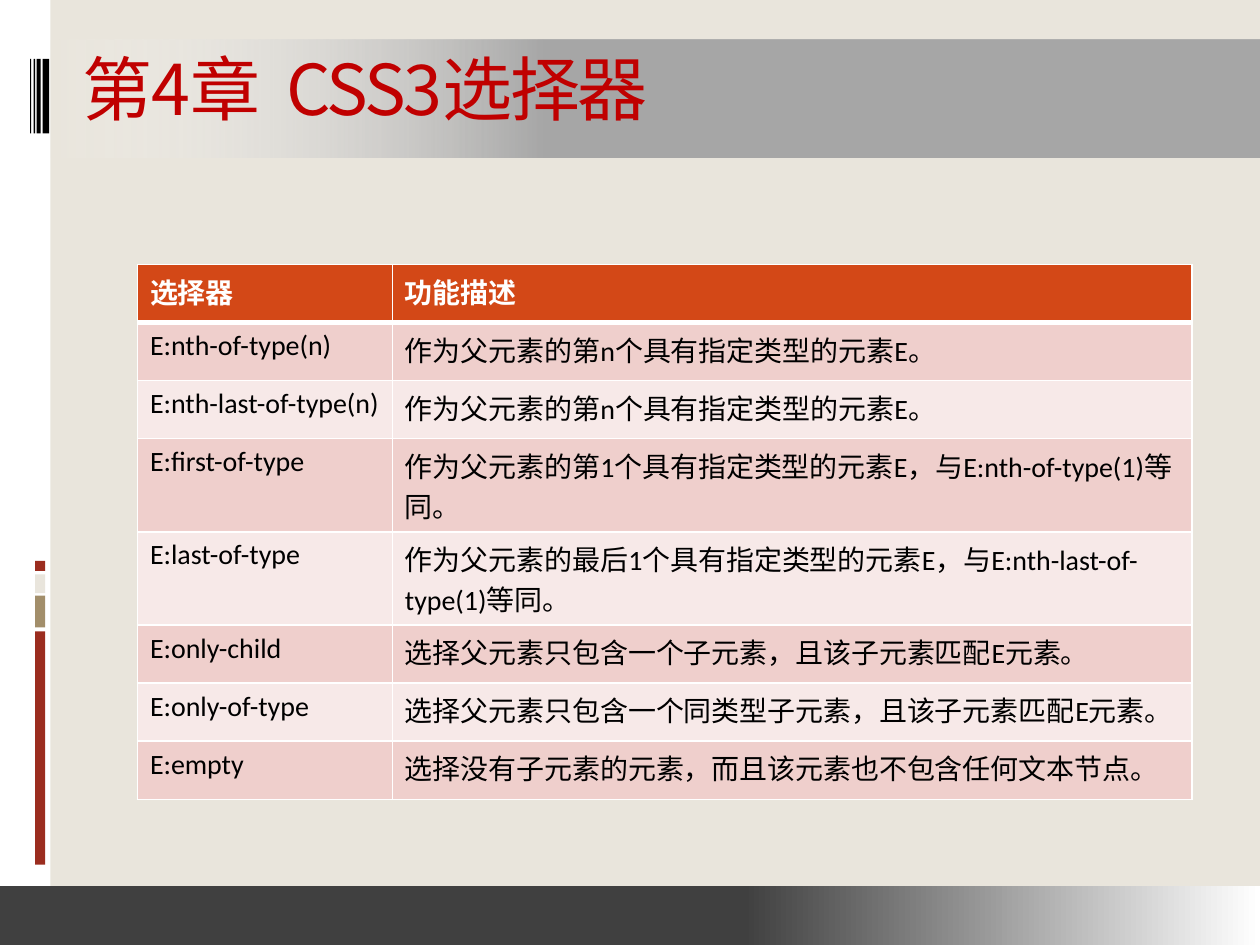
from dataclasses import dataclass

from lxml import etree
from pptx import Presentation
from pptx.dml.color import RGBColor
from pptx.enum.shapes import MSO_SHAPE
from pptx.enum.text import MSO_ANCHOR, MSO_AUTO_SIZE, PP_ALIGN
from pptx.oxml.ns import qn
from pptx.util import Cm, Pt

RECTANGLE = MSO_SHAPE.RECTANGLE
MIDDLE = MSO_ANCHOR.MIDDLE
LEFT = PP_ALIGN.LEFT
NO_AUTOFIT = MSO_AUTO_SIZE.NONE


@dataclass(frozen=True)
class Theme:
    paper: str = "E9E5DC"
    white: str = "FFFFFF"
    black: str = "000000"
    brick: str = "9B2D1F"
    tan: str = "A28E6A"
    banner: str = "A6A6A6"
    footer: str = "404040"
    title: str = "C00000"
    header: str = "D34817"
    bands: tuple = ("EFCFCC", "F7E9E8")
    cjk_font: str = "Noto Sans CJK SC"
    header_font: str = "Cabin"
    body_font: str = "Calibri"
    title_size: int = 40
    table_size: int = 16


theme = Theme()


def add_block(left, top, width, height, color, fade_to=None):
    """Add a borderless rectangle, plain or fading from 59% of its width."""
    block = slide.shapes.add_shape(RECTANGLE, Cm(left), Cm(top), Cm(width), Cm(height))
    block.shadow.inherit = False
    block.line.fill.background()
    if fade_to is None:
        block.fill.solid()
        block.fill.fore_color.rgb = RGBColor.from_string(color)
        return block
    block.fill.gradient()
    block.fill.gradient_angle = 0
    for stop, position, stop_color in zip(block.fill.gradient_stops, (0.59, 1), (color, fade_to)):
        stop.position = position
        stop.color.rgb = RGBColor.from_string(stop_color)
    return block


def style_run(run, font_name, size, color, bold=False):
    run.font.name = font_name
    run.font.size = Pt(size)
    run.font.bold = bold
    run.font.color.rgb = RGBColor.from_string(color)
    east_asian = etree.SubElement(run.font._element, qn("a:ea"))
    east_asian.set("typeface", theme.cjk_font)


prs = Presentation()
prs.slide_width, prs.slide_height = Cm(25.4), Cm(19.05)
slide = prs.slides.add_slide(prs.slide_layouts[5])
slide.background.fill.solid()
slide.background.fill.fore_color.rgb = RGBColor.from_string(theme.paper)

# Left margin with its coloured bars
add_block(0, 0, 1.02, 19.05, theme.white)
for top, height, color in (
    (12.73, 4.7, theme.brick),
    (12.01, 0.64, theme.tan),
    (11.58, 0.38, theme.paper),
    (11.31, 0.2, theme.brick),
):
    add_block(0.71, top, 0.2, height, color)

# Barcode beside the title
for left, width in ((0.86, 0.13), (0.74, 0.08), (0.68, 0.03), (0.61, 0.02)):
    add_block(left, 1.19, width, 1.5, theme.black)

# Title banner, fading out to the left, and footer band
banner = add_block(0.99, 0.79, 24.41, 2.39, theme.banner, theme.white)
banner.rotation = 180
clear_color = banner.fill._xPr.findall(".//" + qn("a:srgbClr"))[-1]
etree.SubElement(clear_color, qn("a:alpha")).set("val", "0")
add_block(0, 17.86, 25.4, 1.19, theme.footer, theme.white)

# Title, brought in front of the banner
title = slide.shapes.title
title.element.getparent().append(title.element)
title.left, title.top, title.width, title.height = Cm(1.4), Cm(0.79), Cm(21.59), Cm(1.96)
title.text_frame.text = "第4章  CSS3选择器"
title.text_frame.auto_size = NO_AUTOFIT
title.text_frame.vertical_anchor = MIDDLE
heading = title.text_frame.paragraphs[0]
heading.alignment = LEFT
style_run(heading.runs[0], theme.cjk_font, theme.title_size, theme.title)
heading.runs[0].font._element.set("spc", "-150")

# Selector table
selectors = (
    ("选择器", "功能描述"),
    ("E:nth-of-type(n)", "作为父元素的第n个具有指定类型的元素E。"),
    ("E:nth-last-of-type(n)", "作为父元素的第n个具有指定类型的元素E。"),
    ("E:first-of-type", "作为父元素的第1个具有指定类型的元素E，与E:nth-of-type(1)等同。"),
    ("E:last-of-type", "作为父元素的最后1个具有指定类型的元素E，与E:nth-last-of-type(1)等同。"),
    ("E:only-child", "选择父元素只包含一个子元素，且该子元素匹配E元素。"),
    ("E:only-of-type", "选择父元素只包含一个同类型子元素，且该子元素匹配E元素。"),
    ("E:empty", "选择没有子元素的元素，而且该元素也不包含任何文本节点。"),
)
row_height = 1.17
table = slide.shapes.add_table(
    len(selectors), 2, Cm(2.77), Cm(5.33), Cm(21.26), Cm(row_height * len(selectors))
).table
for column, width in zip(table.columns, (5.14, 16.12)):
    column.width = Cm(width)

for row_index, texts in enumerate(selectors):
    table.rows[row_index].height = Cm(row_height)
    is_header = row_index == 0
    band = theme.header if is_header else theme.bands[(row_index - 1) % 2]
    for column_index, text in enumerate(texts):
        cell = table.cell(row_index, column_index)
        cell.fill.solid()
        cell.fill.fore_color.rgb = RGBColor.from_string(band)
        cell.text_frame.text = text
        style_run(
            cell.text_frame.paragraphs[0].runs[0],
            theme.header_font if is_header else theme.body_font,
            theme.table_size,
            theme.white if is_header else theme.black,
            bold=is_header,
        )
        # White cell borders, heavier between header and body
        cell_properties = cell._tc.get_or_add_tcPr()
        for order, side in enumerate(("lnL", "lnR", "lnT", "lnB")):
            heavy = (row_index, side) in ((0, "lnB"), (1, "lnT"))
            border = etree.Element(qn("a:" + side), w=str(Pt(3 if heavy else 1)))
            border_fill = etree.SubElement(border, qn("a:solidFill"))
            etree.SubElement(border_fill, qn("a:srgbClr")).set("val", theme.white)
            cell_properties.insert(order, border)

prs.save("out.pptx")
